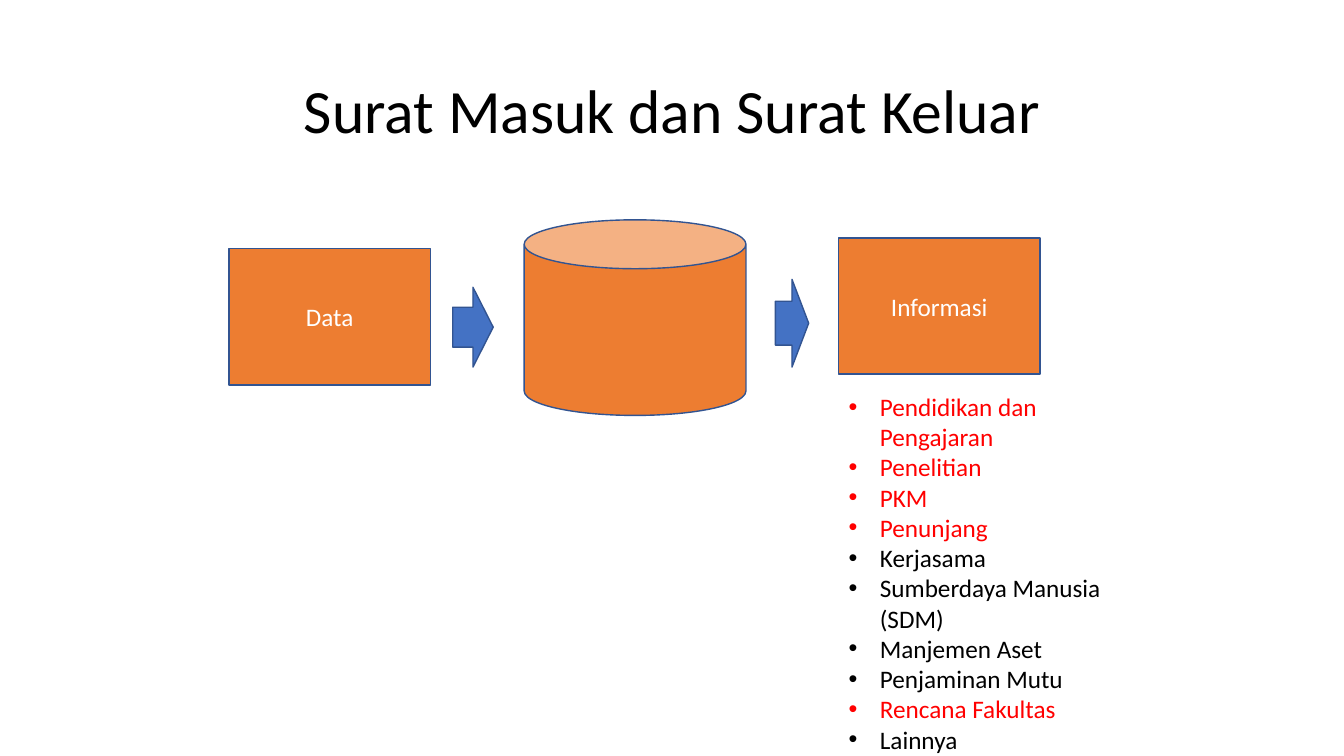
from pptx import Presentation
from pptx import util as u
from pptx.dml.color import RGBColor
from pptx.enum import shapes, text

ORANGE = RGBColor(0xED, 0x7D, 0x31)
BLUE = RGBColor(0x44, 0x72, 0xC4)
EDGE = RGBColor(0x32, 0x54, 0x91)
RED = RGBColor(0xFF, 0, 0)
BLACK = RGBColor(0, 0, 0)
WHITE = RGBColor(0xFF, 0xFF, 0xFF)
KIND = shapes.MSO_SHAPE

TOPICS = [
    ("Pendidikan dan Pengajaran", RED),
    ("Penelitian", RED),
    ("PKM", RED),
    ("Penunjang", RED),
    ("Kerjasama", BLACK),
    ("Sumberdaya Manusia (SDM)", BLACK),
    ("Manjemen Aset", BLACK),
    ("Penjaminan Mutu", BLACK),
    ("Rencana Fakultas", RED),
    ("Lainnya", BLACK),
]


def place(item, box):
    item.left, item.top, item.width, item.height = map(u.Cm, box)


def style(para, size, color):
    for run in para.runs:
        run.font.name = "Calibri"
        run.font.size = u.Pt(size)
        run.font.color.rgb = color


def add_title(slide, box):
    title = slide.shapes.title
    place(title, box)
    frame = title.text_frame
    frame.text = "Surat Masuk dan Surat Keluar"
    frame.vertical_anchor = text.MSO_ANCHOR.MIDDLE
    para = frame.paragraphs[0]
    para.alignment = text.PP_ALIGN.CENTER
    para.line_spacing = 0.9
    style(para, 44, BLACK)


def add_node(slide, kind, box, fill, label=""):
    node = slide.shapes.add_shape(kind, *map(u.Cm, box))
    node.shadow.inherit = False
    node.fill.solid()
    node.fill.fore_color.rgb = fill
    node.line.color.rgb = EDGE
    node.line.width = u.Pt(1)
    if label:
        frame = node.text_frame
        frame.text = label
        frame.vertical_anchor = text.MSO_ANCHOR.MIDDLE
        frame.paragraphs[0].alignment = text.PP_ALIGN.CENTER
        style(frame.paragraphs[0], 18, WHITE)


def add_flow(slide, box):
    left, top, width, height = box
    card_w, card_h = 5.08, 3.43
    info_x = left + width - card_w
    add_node(slide, KIND.RECTANGLE, (left, top + 0.73, card_w, card_h), ORANGE, "Data")
    add_node(slide, KIND.CAN, (left + 7.44, top, 5.59, height), ORANGE)
    add_node(slide, KIND.RECTANGLE, (info_x, top + 0.46, card_w, card_h), ORANGE, "Informasi")
    add_node(slide, KIND.RIGHT_ARROW, (left + 5.64, top + 1.7, 1.02, 2.01), BLUE)
    add_node(slide, KIND.RIGHT_ARROW, (left + 13.77, top + 1.5, 0.84, 2.21), BLUE)


def add_list(slide, box):
    body = slide.placeholders[1]
    place(body, box)
    frame = body.text_frame
    frame.text = "\n".join(name for name, color in TOPICS)
    frame.word_wrap = True
    frame.auto_size = text.MSO_AUTO_SIZE.SHAPE_TO_FIT_TEXT
    frame.vertical_anchor = text.MSO_ANCHOR.TOP
    for para, (name, color) in zip(frame.paragraphs, TOPICS):
        para.space_before = u.Pt(0)
        props = para._p.get_or_add_pPr()
        props.set("marL", str(u.Cm(0.79)))
        props.set("indent", str(-u.Cm(0.79)))
        style(para, 18, color)


deck = Presentation()
deck.slide_width, deck.slide_height = u.Cm(33.87), u.Cm(19.05)
slide = deck.slides.add_slide(deck.slide_layouts[1])
add_title(slide, (2.34, 1.02, 29.21, 3.68))
add_flow(slide, (5.77, 5.54, 20.44, 4.93))
add_list(slide, (21.13, 9.73, 7.24, 10.26))
deck.save("out.pptx")
